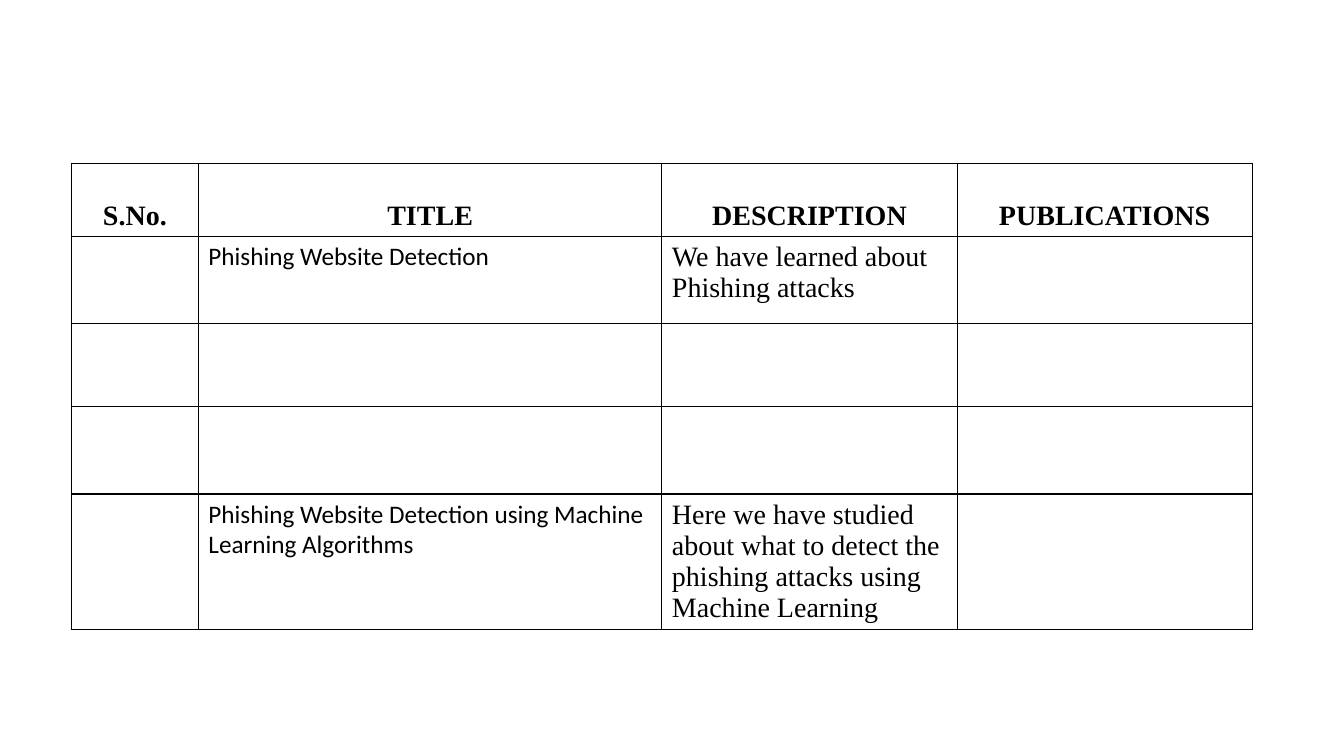
from dataclasses import dataclass

from lxml.etree import SubElement
from pptx import Presentation
from pptx.dml.color import RGBColor
from pptx.enum.text import MSO_ANCHOR, PP_ALIGN
from pptx.oxml.ns import qn
from pptx.util import Cm, Pt


@dataclass(frozen=True)
class Theme:
    ink: str = "000000"
    paper: str = "FFFFFF"
    serif: str = "Times New Roman"
    sans: str = "Calibri"
    large: int = 20
    medium: int = 18
    border: int = 1


THEME = Theme()
COLUMN_WIDTHS = (3.2, 11.68, 7.44, 7.44)
ROW_HEIGHTS = (1.83, 2.21, 2.08, 2.21, 3.41)
HEADINGS = ("S.No.", "TITLE", "DESCRIPTION", "PUBLICATIONS")
EMPTY_ROW = ("", "", "", "")
PAPERS = (
    ("", "Phishing Website Detection", "We have learned about Phishing attacks", ""),
    EMPTY_ROW,
    EMPTY_ROW,
    (
        "",
        "Phishing Website Detection using Machine Learning Algorithms",
        "Here we have studied about what to detect the phishing attacks using Machine Learning",
        "",
    ),
)
HEADING_FORMAT = dict(bold=True, align=PP_ALIGN.CENTER)
TITLE_FORMAT = dict(font=THEME.sans, size=THEME.medium)
TITLE_COLUMN = HEADINGS.index("TITLE")


def write_text(text_frame, text, font=THEME.serif, size=THEME.large, bold=False,
               align=PP_ALIGN.LEFT):
    paragraph = text_frame.paragraphs[0]
    paragraph.alignment = align
    run = paragraph.add_run()
    run.text = text
    run.font.name = font
    run.font.size = Pt(size)
    run.font.bold = bold
    run.font.color.rgb = RGBColor.from_string(THEME.ink)


def draw_borders(cell):
    properties = cell._tc.get_or_add_tcPr()
    for position, side in enumerate(("lnL", "lnR", "lnT", "lnB")):
        line = properties.makeelement(qn(f"a:{side}"), {"w": str(Pt(THEME.border))})
        fill = SubElement(line, qn("a:solidFill"))
        SubElement(fill, qn("a:srgbClr"), val=THEME.ink)
        properties.insert(position, line)


def style_cell(cell):
    cell.fill.solid()
    cell.fill.fore_color.rgb = RGBColor.from_string(THEME.paper)
    draw_borders(cell)


def add_paper_table(slide, left, top):
    rows = (HEADINGS, *PAPERS)
    frame = slide.shapes.add_table(
        len(rows), len(HEADINGS), left, top,
        Cm(sum(COLUMN_WIDTHS)), Cm(sum(ROW_HEIGHTS)),
    )
    table = frame.table
    table.first_row = False
    table.horz_banding = False
    for column, width in zip(table.columns, COLUMN_WIDTHS):
        column.width = Cm(width)
    for row, height in zip(table.rows, ROW_HEIGHTS):
        row.height = Cm(height)
    for row_index, texts in enumerate(rows):
        for column_index, text in enumerate(texts):
            cell = table.cell(row_index, column_index)
            style_cell(cell)
            text_format = {}
            if row_index == 0:
                cell.vertical_anchor = MSO_ANCHOR.BOTTOM
                text_format = HEADING_FORMAT
            elif column_index == TITLE_COLUMN:
                text_format = TITLE_FORMAT
            if text:
                write_text(cell.text_frame, text, **text_format)


def main():
    presentation = Presentation()
    presentation.slide_width = Cm(33.87)
    presentation.slide_height = Cm(19.05)
    slide = presentation.slides.add_slide(presentation.slide_layouts[6])
    add_paper_table(slide, Cm(1.8), Cm(4.12))
    presentation.save("out.pptx")


main()
